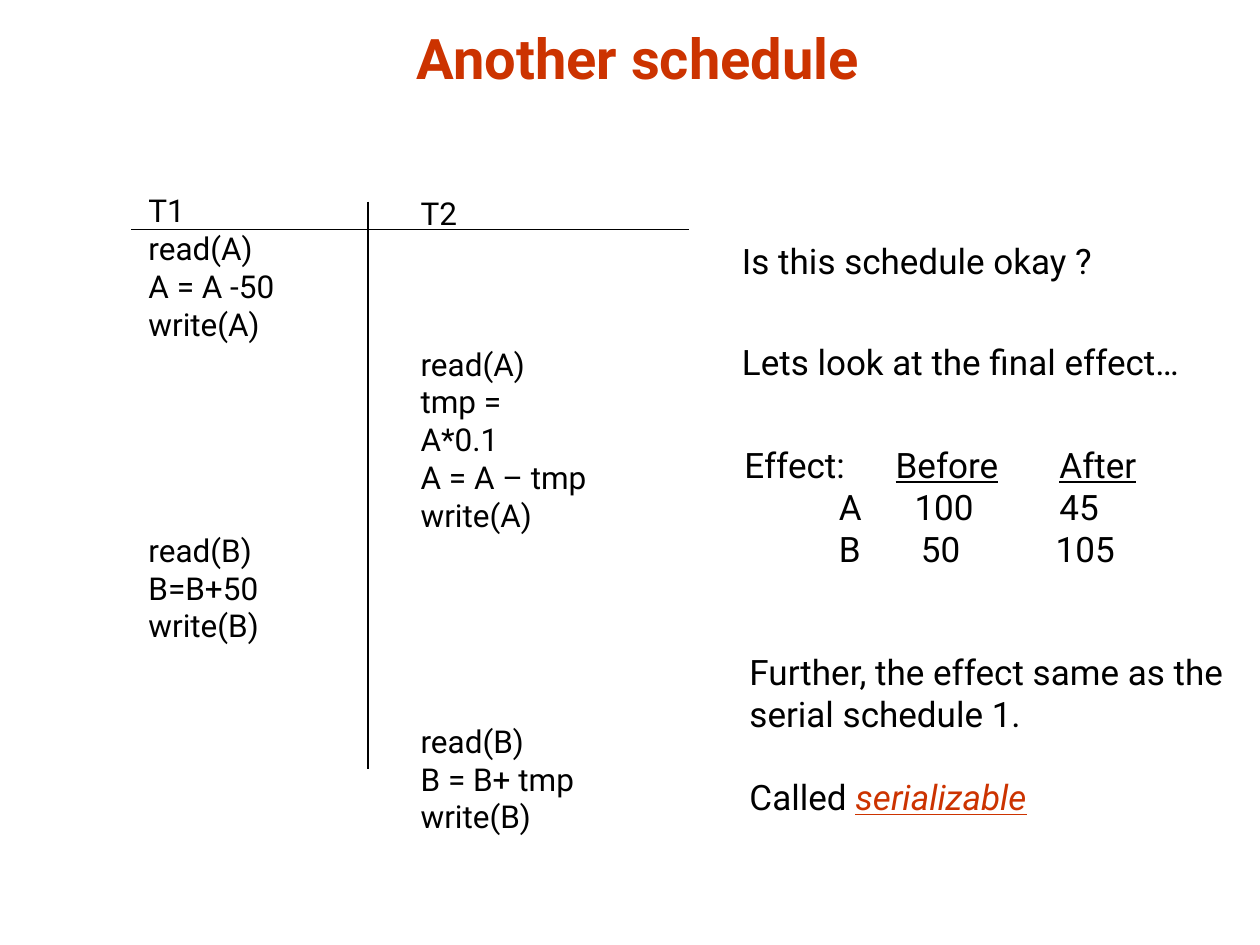
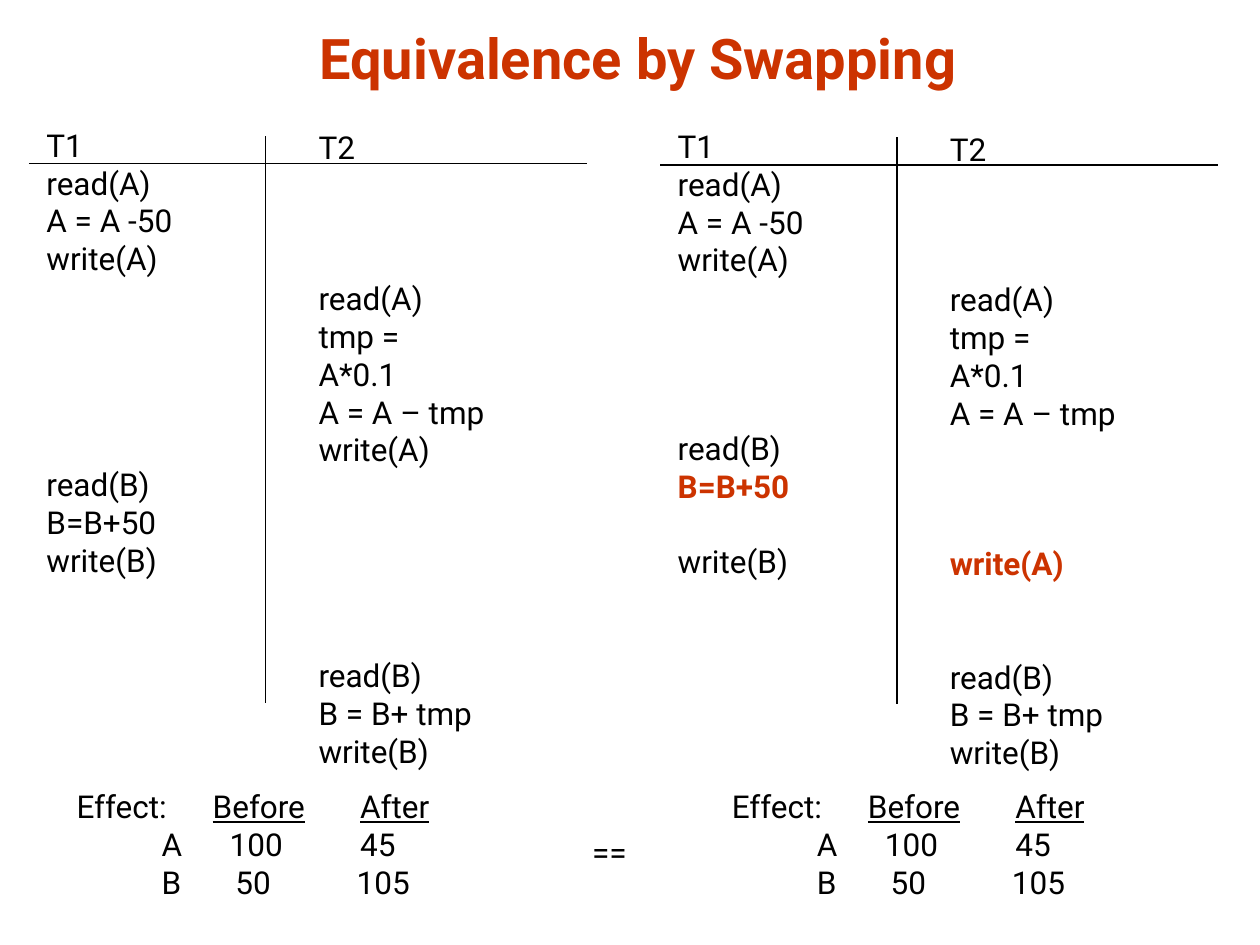
import pptx
import pptx.util
import pptx.dml.color
import pptx.enum.shapes
import pptx.enum.text
import pptx.oxml
import pptx.oxml.ns

Inches = pptx.util.Inches
Pt = pptx.util.Pt

COLORS = {"text": "000000", "accent": "CC3300", "background": "FFFFFF"}
FONT = "Roboto"
STEP_SIZE = 18
NOTE_SIZE = 20
ROW_GAP = 1.195  # height of one skipped row, in multiples of the text size

# Each schedule column is a list of (rows skipped before, operation).
# "\n" is a line break inside an operation.
READ_A_T1 = [(0, "T1"), (0, "read(A)"), (0, "A = A -50"), (0, "write(A)")]
READ_A_T2 = [(0, "T2"), (3, "read(A)"), (0, "tmp =\nA*0.1"), (0, "A = A – tmp")]
END_T2 = [(0, "B = B+ tmp"), (0, "write(B)")]

T1_STEPS = READ_A_T1 + [(5, "read(B)"), (0, "B=B+50"), (0, "write(B)")]
T2_STEPS = READ_A_T2 + [(0, "write(A)"), (5, "read(B)")] + END_T2
T1_SWAPPED = READ_A_T1 + [(4, "read(B)"), (0, "B=B+50"), (1, "write(B)")]
T2_SWAPPED = READ_A_T2 + [(3, "write(A)"), (2, "read(B)")] + END_T2

# Cells of the effect list, with tab stops in inches at NOTE_SIZE.
EFFECT_ROWS = [
    (["Effect:", "Before", "After"], [1.2, 2.5]),
    (["", "A", "100", "45"], [0.75, 1.35, 2.5]),
    (["", "B", "50", "105"], [0.75, 1.4, 2.47]),
]


def add_box(shapes, x, y, w, h):
    """Add an empty wrapping text box and return its text frame."""
    tf = shapes.add_textbox(Inches(x), Inches(y), Inches(w), Inches(h)).text_frame
    tf.word_wrap = True
    return tf


def next_paragraph(tf):
    first = tf.paragraphs[0]
    return tf.add_paragraph() if first.runs else first


def add_run(p, text, size, color="text", bold=False, italic=False, underline=False):
    r = p.add_run()
    r.text = text
    r.font.name = FONT
    r.font.size = Pt(size)
    r.font.color.rgb = pptx.dml.color.RGBColor.from_string(COLORS[color])
    r.font.bold = bold
    r.font.italic = italic
    r.font.underline = underline


def add_tab_stops(p, stops):
    tabs = pptx.oxml.ns.qn("a:tabLst")
    tab_list = p._p.get_or_add_pPr().makeelement(tabs, {})
    for stop in stops:
        tab = tab_list.makeelement(
            pptx.oxml.ns.qn("a:tab"), {"pos": str(Inches(stop)), "algn": "l"})
        tab_list.append(tab)
    p._p.get_or_add_pPr().append(tab_list)


def add_rule(shapes, x1, y1, x2, y2):
    rule = shapes.add_connector(
        pptx.enum.shapes.MSO_CONNECTOR.STRAIGHT,
        Inches(x1), Inches(y1), Inches(x2), Inches(y2))
    rule.line.color.rgb = pptx.dml.color.RGBColor.from_string(COLORS["text"])
    rule.line.width = Pt(0.75)
    sp_pr = rule._element.spPr
    sp_pr.append(sp_pr.makeelement(pptx.oxml.ns.qn("a:effectLst"), {}))


def add_titled_slide(prs, title):
    s = prs.slides.add_slide(prs.slide_layouts[6])
    s.background.fill.solid()
    s.background.fill.fore_color.rgb = pptx.dml.color.RGBColor.from_string(
        COLORS["background"])
    tf = add_box(s.shapes, 0.65, 0.1, 8.83, 0.67)
    tf.vertical_anchor = pptx.enum.text.MSO_ANCHOR.BOTTOM
    p = tf.paragraphs[0]
    p.alignment = pptx.enum.text.PP_ALIGN.CENTER
    add_run(p, title, 32, "accent", bold=True)
    return s


def add_steps(shapes, x, y, w, h, steps, moved):
    """Write one transaction's operations; those in moved are highlighted."""
    tf = add_box(shapes, x, y, w, h)
    for skipped, step in steps:
        p = next_paragraph(tf)
        p.space_before = Pt(skipped * ROW_GAP * STEP_SIZE)
        hot = step in moved
        for i, line in enumerate(step.split("\n")):
            if i:
                p.add_line_break()
            add_run(p, line, STEP_SIZE, "accent" if hot else "text", bold=hot)


def add_schedule(shapes, x, y, t1, t2, moved=()):
    """Two transaction columns with a header rule and a divider."""
    add_steps(shapes, x + 0.04, y, 1.25, 3.7, t1, moved)
    add_steps(shapes, x + 2.2, y + 0.02, 1.6, 4.91, t2, moved)
    add_rule(shapes, x, y + 0.35, x + 4.43, y + 0.35)
    add_rule(shapes, x + 1.88, y + 0.13, x + 1.88, y + 4.63)


def add_effect(shapes, x, y, w, h, size):
    """Values of A and B before and after the schedule."""
    tf = add_box(shapes, x, y, w, h)
    for cells, stops in EFFECT_ROWS:
        p = next_paragraph(tf)
        add_tab_stops(p, [stop * size / NOTE_SIZE for stop in stops])
        for i, cell in enumerate(cells):
            if i:
                add_run(p, "\t", size)
            if cell:
                add_run(p, cell, size, underline=cell in ("Before", "After"))


def add_note(shapes, x, y, w, h, text, size=NOTE_SIZE):
    tf = add_box(shapes, x, y, w, h)
    add_run(tf.paragraphs[0], text, size)
    return tf


def add_conclusion(shapes, x, y, w, h):
    tf = add_note(shapes, x, y, w, h, "Further, the effect same as the")
    add_run(next_paragraph(tf), "serial schedule 1.", NOTE_SIZE)
    p = next_paragraph(tf)
    p.space_before = Pt(ROW_GAP * NOTE_SIZE)
    add_run(p, "Called ", NOTE_SIZE)
    add_run(p, "serializable", NOTE_SIZE, "accent", italic=True, underline=True)


def build_another_schedule(prs):
    s = add_titled_slide(prs, "Another schedule")
    add_schedule(s.shapes, 1.04, 1.47, T1_STEPS, T2_STEPS)
    add_note(s.shapes, 5.79, 1.85, 3.01, 0.43, "Is this schedule okay ?")
    add_note(s.shapes, 5.79, 2.65, 3.7, 0.43, "Lets look at the final effect…")
    add_effect(s.shapes, 5.81, 3.47, 3.38, 1.43, NOTE_SIZE)
    add_conclusion(s.shapes, 5.85, 5.11, 4.0, 1.43)


def build_swapping(prs):
    s = add_titled_slide(prs, "Equivalence by Swapping")
    before = s.shapes.add_group_shape()
    add_schedule(before.shapes, 0.23, 0.95, T1_STEPS, T2_STEPS)
    after = s.shapes.add_group_shape()
    # T1 writes A too, but only T2's write(A) has moved.
    add_schedule(after.shapes, 5.24, 0.96, T1_SWAPPED, T2_SWAPPED)
    highlight(after, 0, "B=B+50")
    highlight(after, 1, "write(A)")
    for x in (0.51, 5.71):
        add_effect(s.shapes, x, 6.2, 3.08, 1.3, STEP_SIZE)
    add_note(s.shapes, 4.6, 6.56, 0.49, 0.4, "==", STEP_SIZE)


def highlight(group, column, step):
    """Mark one operation in a column of a grouped schedule."""
    for p in group.shapes[column].text_frame.paragraphs:
        if p.text == step:
            font = p.runs[0].font
            font.bold = True
            font.color.rgb = pptx.dml.color.RGBColor.from_string(COLORS["accent"])


def main():
    prs = pptx.Presentation()
    prs.slide_width = Inches(10)
    prs.slide_height = Inches(7.5)
    build_another_schedule(prs)
    build_swapping(prs)
    prs.save("out.pptx")


if __name__ == "__main__":
    main()
